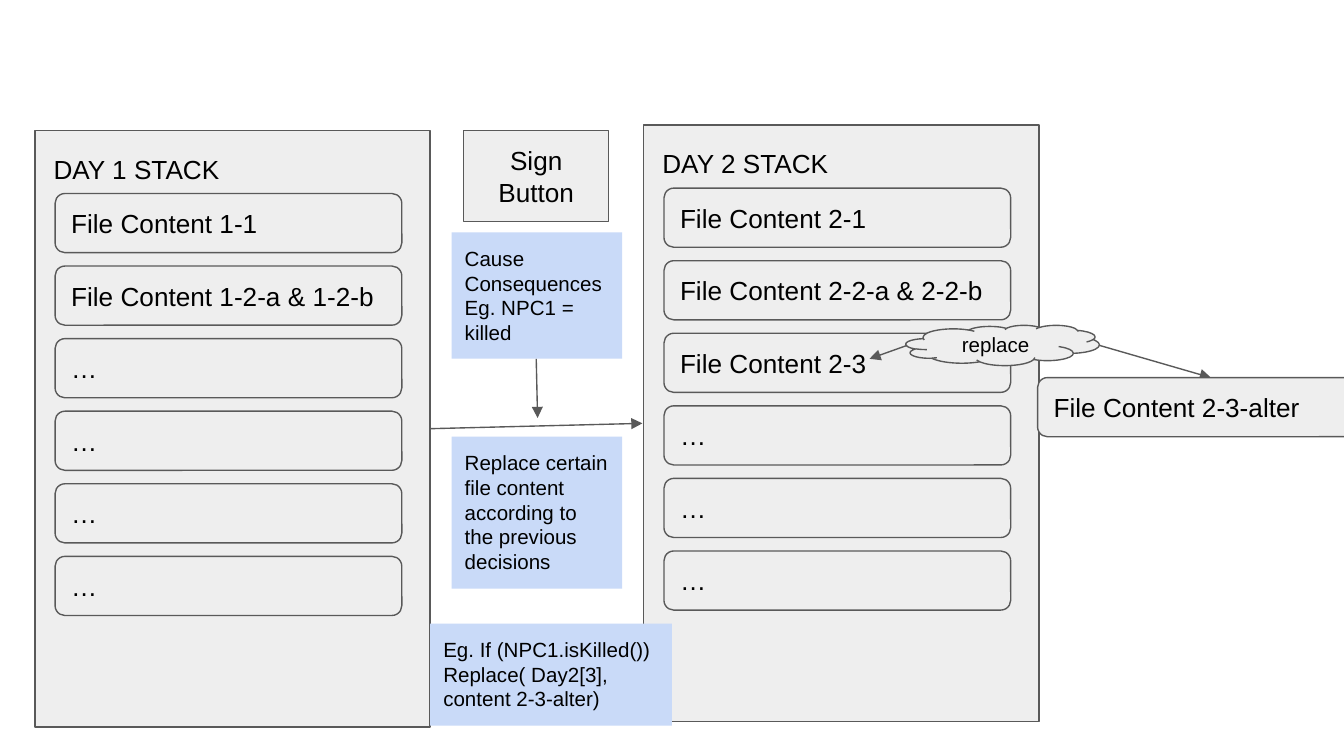
import pptx
import pptx.dml.color
import pptx.enum.shapes
import pptx.enum.text
import pptx.oxml
import pptx.oxml.ns
import pptx.util

Inches = pptx.util.Inches
Pt = pptx.util.Pt
SHAPE = pptx.enum.shapes.MSO_SHAPE
ALIGN = pptx.enum.text.PP_ALIGN
ANCHOR = pptx.enum.text.MSO_ANCHOR

COLOURS = {"panel": "EEEEEE", "outline": "595959", "note": "C9DAF8", "text": "000000"}
CARD_WIDTH, CARD_HEIGHT, CARD_STEP = 2.58, 0.44, 0.54
PANEL_WIDTH, PANEL_HEIGHT = 2.94, 4.44


def colour(name):
    return pptx.dml.color.RGBColor.from_string(COLOURS[name])


def write(box, *lines, size=14, align=ALIGN.LEFT, anchor=ANCHOR.MIDDLE):
    """Fill a box with one paragraph per line."""
    frame = box.text_frame
    frame.word_wrap = True
    frame.vertical_anchor = anchor
    frame.margin_left = frame.margin_right = Inches(0.1)
    frame.margin_top = frame.margin_bottom = Inches(0.1)
    for index, line in enumerate(lines):
        para = frame.add_paragraph() if index else frame.paragraphs[0]
        para.alignment = align
        span = para.add_run()
        span.text = line
        span.font.name = "Arial"
        span.font.size = Pt(size)
        span.font.color.rgb = colour("text")


def add_box(shapes, kind, left, top, width, height, fill="panel", outlined=True):
    box = shapes.add_shape(kind, Inches(left), Inches(top), Inches(width), Inches(height))
    box.shadow.inherit = False
    box.fill.solid()
    box.fill.fore_color.rgb = colour(fill)
    if outlined:
        box.line.color.rgb = colour("outline")
        box.line.width = Pt(0.75)
    else:
        box.line.fill.background()
    return box


def add_card(shapes, left, top, label):
    card = add_box(shapes, SHAPE.ROUNDED_RECTANGLE, left, top, CARD_WIDTH, CARD_HEIGHT)
    write(card, label)


def add_stack(shapes, left, top, title, labels):
    """Panel with a title and evenly spaced file cards."""
    add_box(shapes, SHAPE.RECTANGLE, left, top, PANEL_WIDTH, PANEL_HEIGHT)
    heading = shapes.add_textbox(
        Inches(left + 0.04), Inches(top + 0.07), Inches(2.41), Inches(0.44))
    write(heading, title, anchor=ANCHOR.TOP)
    for row, label in enumerate(labels):
        add_card(shapes, left + 0.15, top + 0.47 + row * CARD_STEP, label)


def add_note(shapes, left, top, width, height, *lines):
    note = add_box(shapes, SHAPE.RECTANGLE, left, top, width, height, "note", outlined=False)
    write(note, *lines, size=11, anchor=ANCHOR.TOP)


def add_arrow(shapes, start, end):
    arrow = shapes.add_connector(
        pptx.enum.shapes.MSO_CONNECTOR.STRAIGHT, *map(Inches, start + end))
    arrow.line.color.rgb = colour("outline")
    arrow.line.width = Pt(0.75)
    namespace = pptx.oxml.ns.nsdecls("a")
    outline = arrow._element.spPr.find(pptx.oxml.ns.qn("a:ln"))
    outline.append(pptx.oxml.parse_xml(f'<a:tailEnd {namespace} type="triangle"/>'))
    arrow._element.spPr.append(pptx.oxml.parse_xml(f'<a:effectLst {namespace}/>'))


def add_transition(shapes, left, top):
    """Button, notes and arrows between the two stacks."""
    button = add_box(shapes, SHAPE.RECTANGLE, left + 0.25, top, 1.08, 0.68)
    write(button, "Sign Button", align=ALIGN.CENTER)
    add_arrow(shapes, (left, top + 2.22), (left + 1.58, top + 2.18))
    add_note(shapes, left + 0.16, top + 0.76, 1.27, 0.94,
             "Cause Consequences", "Eg. NPC1 = killed")
    add_arrow(shapes, (left + 0.79, top + 1.7), (left + 0.8, top + 2.14))
    add_note(shapes, left + 0.16, top + 2.28, 1.27, 1.13,
             "Replace certain file content according to the previous decisions")
    add_note(shapes, left, top + 3.67, 1.8, 0.76,
             "Eg. If (NPC1.isKilled()) Replace( Day2[3], content 2-3-alter)")


def add_replacement(shapes, left, top):
    """Cloud that links a file card to its alternative."""
    cloud = add_box(shapes, SHAPE.CLOUD, left, top, 1.44, 0.3)
    write(cloud, "replace", size=11, align=ALIGN.CENTER)
    middle = top + 0.15
    add_arrow(shapes, (left + 1.44, middle), (left + 2.27, top + 0.39))
    add_arrow(shapes, (left + 0.01, middle), (left - 0.27, top + 0.25))
    add_card(shapes, left + 0.98, top + 0.39, "File Content 2-3-alter")


def main():
    deck = pptx.Presentation()
    deck.slide_width = Inches(10)
    deck.slide_height = deck.slide_width * 9 // 16
    page = deck.slides.add_slide(deck.slide_layouts[6])
    shapes = page.shapes

    add_stack(shapes, 0.26, 0.97, "DAY 1 STACK",
              ["File Content 1-1", "File Content 1-2-a & 1-2-b"] + ["…"] * 4)
    day_two = shapes.add_group_shape()
    add_stack(day_two.shapes, 4.79, 0.93, "DAY 2 STACK",
              ["File Content 2-1", "File Content 2-2-a & 2-2-b", "File Content 2-3"]
              + ["…"] * 3)
    add_transition(shapes, 3.2, 0.97)
    add_replacement(shapes, 6.74, 2.42)

    deck.save("out.pptx")


if __name__ == "__main__":
    main()
